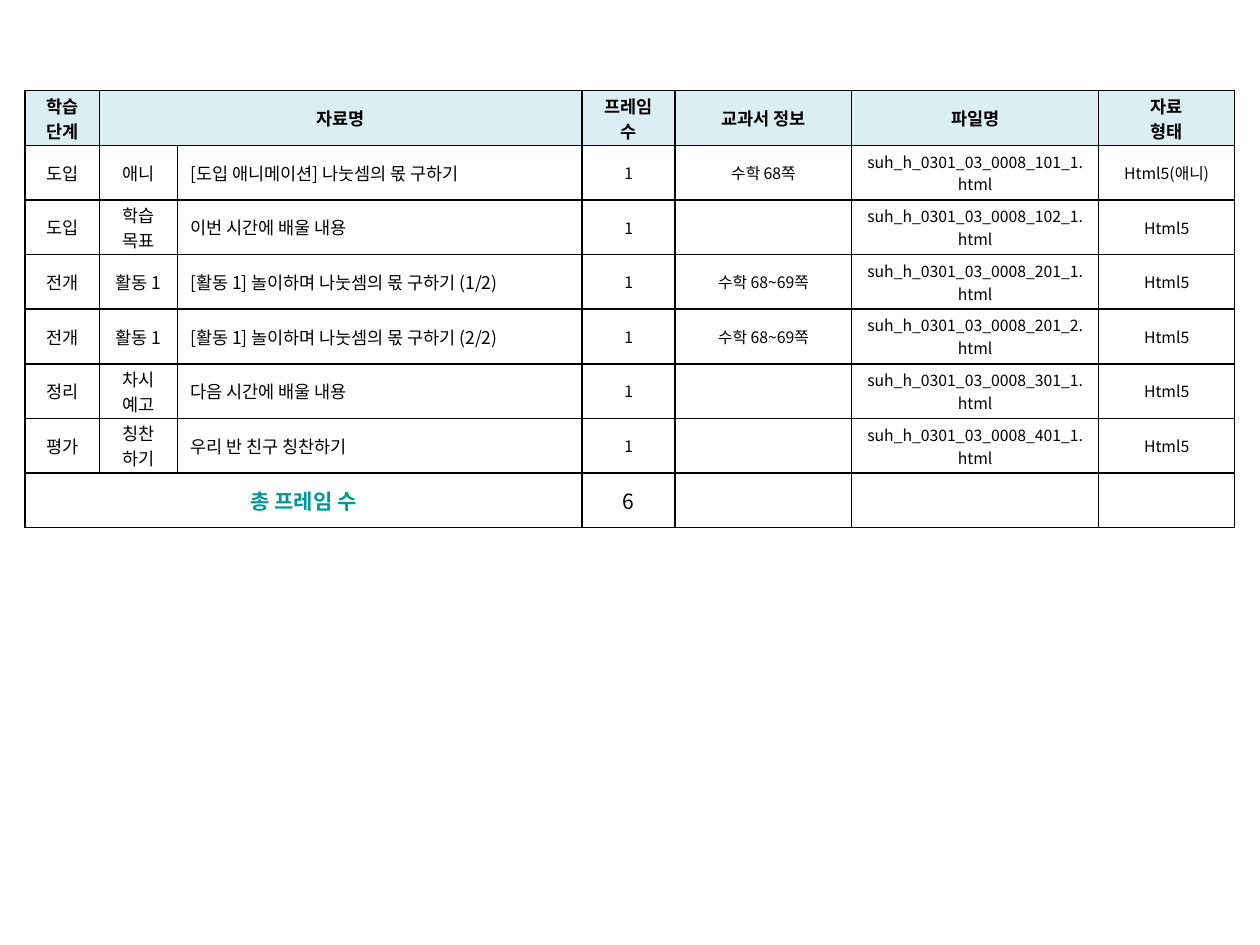
from pptx import Presentation
from pptx import util as u
from pptx.dml.color import RGBColor
from pptx.enum import text
from pptx.oxml.ns import qn
from lxml import etree

FONT = "Noto Sans CJK KR"
BLACK = RGBColor(0x00, 0x00, 0x00)
TEAL = RGBColor(0x00, 0x99, 0x99)
PALE_BLUE = RGBColor(0xDB, 0xEE, 0xF4)

COL_WIDTHS = [0.59, 0.62, 3.21, 0.74, 1.4, 1.96, 1.08]
HEADER = ["학습 단계", "자료명", "", "프레임 수", "교과서 정보", "파일명", "자료\n형태"]
LESSON_ROWS = [
    ["도입", "애니", "[도입 애니메이션] 나눗셈의 몫 구하기", "수학 68쪽", "101_1", "Html5(애니)"],
    ["도입", "학습 목표", "이번 시간에 배울 내용", "", "102_1", "Html5"],
    ["전개", "활동 1", "[활동 1] 놀이하며 나눗셈의 몫 구하기 (1/2)", "수학 68~69쪽", "201_1", "Html5"],
    ["전개", "활동 1", "[활동 1] 놀이하며 나눗셈의 몫 구하기 (2/2)", "수학 68~69쪽", "201_2", "Html5"],
    ["정리", "차시 예고", "다음 시간에 배울 내용", "", "301_1", "Html5"],
    ["평가", "칭찬\n하기", "우리 반 친구 칭찬하기", "", "401_1", "Html5"],
]


def write(cell, content, size=10, bold=False, color=BLACK, align=text.PP_ALIGN.CENTER):
    """Put formatted text in a cell, one paragraph per line."""
    cell.vertical_anchor = text.MSO_ANCHOR.MIDDLE
    cell.margin_left = cell.margin_right = u.Inches(0.1)
    cell.margin_top = cell.margin_bottom = u.Inches(0.01)
    cell.text_frame.text = content
    for p in cell.text_frame.paragraphs:
        p.alignment = align
        if not p.runs:
            p._p.get_or_add_endParaRPr().set("sz", str(size * 100))
        for r in p.runs:
            r.font.size = u.Pt(size)
            r.font.bold = bold
            r.font.color.rgb = color
            r.font.name = FONT
            etree.SubElement(r.font._element, qn("a:ea"), typeface=FONT)


def style_cell(cell, fill=None):
    """Give a cell black borders and an optional fill."""
    tcPr = cell._tc.get_or_add_tcPr()
    for side in ("a:lnL", "a:lnR", "a:lnT", "a:lnB"):
        ln = etree.SubElement(tcPr, qn(side), w=str(u.Pt(1)))
        solid = etree.SubElement(ln, qn("a:solidFill"))
        etree.SubElement(solid, qn("a:srgbClr"), val=str(BLACK))
    if fill is None:
        cell.fill.background()
    else:
        cell.fill.solid()
        cell.fill.fore_color.rgb = fill


def add_lesson_table(s, left, top, width, height):
    """Add the table of lesson materials with its header and total rows."""
    rows = [HEADER]
    for stage, part, title, pages, code, kind in LESSON_ROWS:
        rows.append([stage, part, title, "1", pages, f"suh_h_0301_03_0008_{code}.html", kind])
    rows.append(["총 프레임 수", "", "", str(len(LESSON_ROWS)), "", "", ""])
    last = len(rows) - 1

    table = s.shapes.add_table(len(rows), len(COL_WIDTHS), left, top, width, height).table
    table.first_row = table.horz_banding = False
    for col, col_width in zip(table.columns, COL_WIDTHS):
        col.width = u.Inches(col_width)

    for i, row in enumerate(rows):
        for j, content in enumerate(row):
            cell = table.cell(i, j)
            style_cell(cell, PALE_BLUE if i == 0 else None)
            if i == 0:
                write(cell, content, bold=True)
            elif i == last:
                write(cell, content, size=12, bold=j == 0, color=TEAL if j == 0 else BLACK)
            else:
                align = text.PP_ALIGN.LEFT if j == 2 else text.PP_ALIGN.CENTER
                write(cell, content, size=10 if j < 3 else 9, align=align)
    table.cell(0, 1).merge(table.cell(0, 2))
    table.cell(last, 0).merge(table.cell(last, 2))


def main():
    """Build the slide and save it."""
    prs = Presentation()
    prs.slide_width, prs.slide_height = u.Inches(10), u.Inches(7.5)
    s = prs.slides.add_slide(prs.slide_layouts[6])
    add_lesson_table(s, u.Inches(0.2), u.Inches(0.72), u.Inches(9.6), u.Inches(3.47))
    prs.save("out.pptx")


if __name__ == "__main__":
    main()
